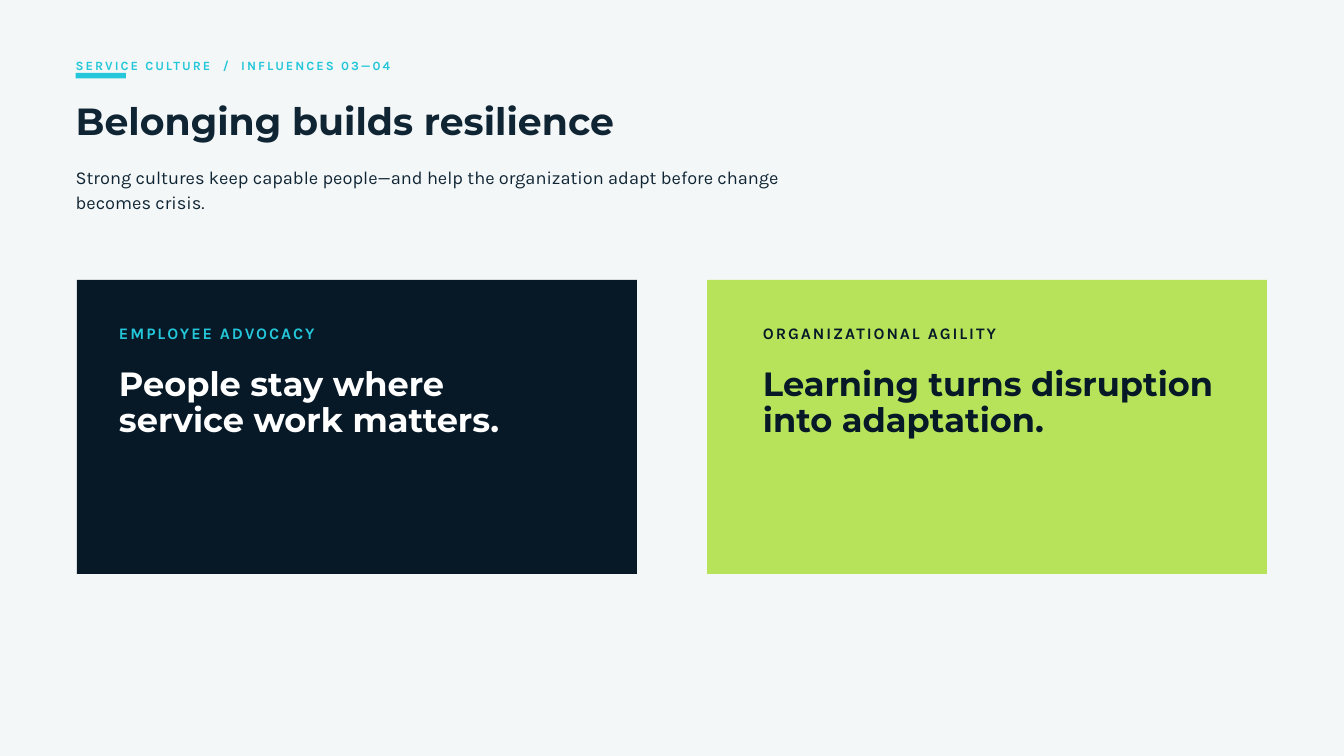
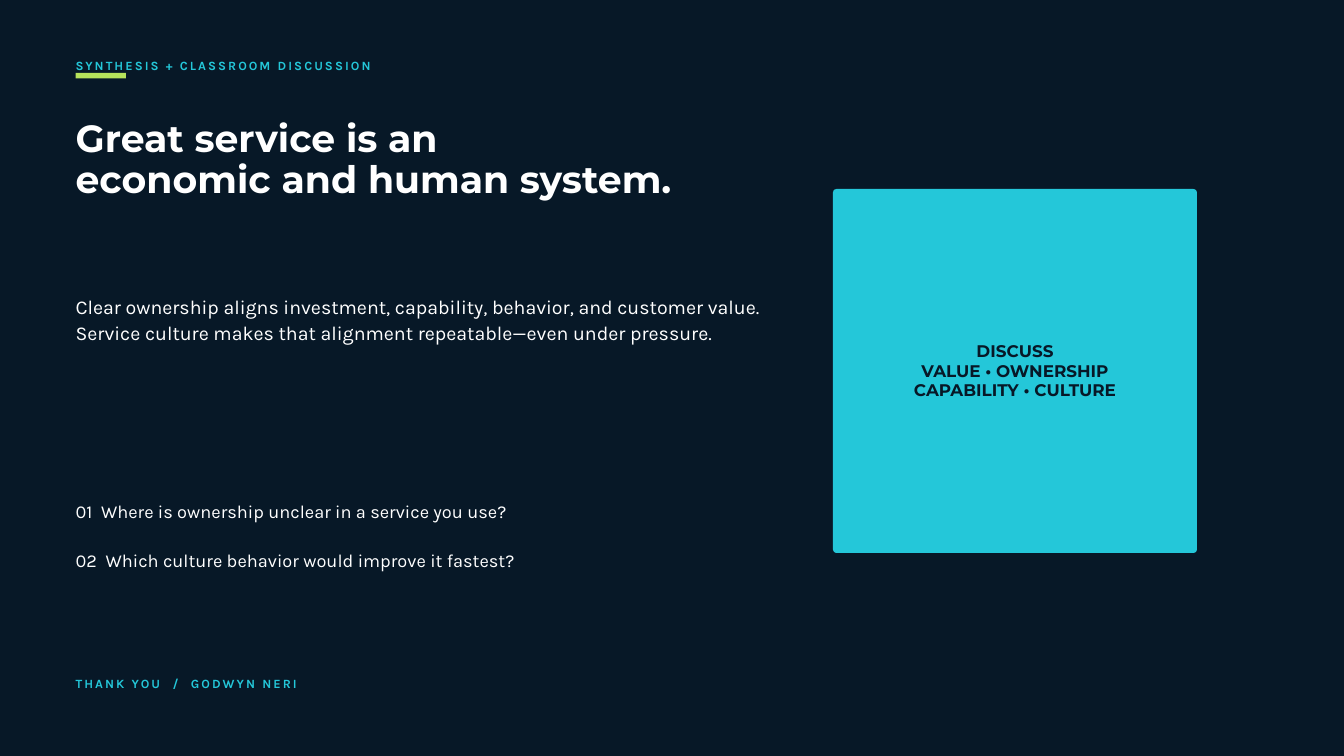
import dataclasses

import pptx
import pptx.dml.color
import pptx.enum.shapes
import pptx.enum.text
import pptx.util

Pt = pptx.util.Pt
Anchor = pptx.enum.text.MSO_ANCHOR
Align = pptx.enum.text.PP_ALIGN
AutoSize = pptx.enum.text.MSO_AUTO_SIZE
Preset = pptx.enum.shapes.MSO_SHAPE


@dataclasses.dataclass(frozen=True)
class Style:
    font: str
    size: float
    leading: float
    bold: bool = False
    tracking: float = 0


@dataclasses.dataclass(frozen=True)
class Theme:
    mist: str = "F4F7F8"
    navy: str = "071827"
    ink: str = "102534"
    cyan: str = "24C7D9"
    lime: str = "B7E35B"
    white: str = "FFFFFF"
    eyebrow: Style = Style("Karla", 13.5, 18.9, True, 2.2)
    title: Style = Style("Montserrat", 40.5, 43.7, True)
    lede: Style = Style("Karla", 19.5, 26.3)
    card_label: Style = Style("Karla", 17.2, 24.1, True, 2.1)
    card_heading: Style = Style("Montserrat", 36, 38.9, True)
    summary: Style = Style("Karla", 21, 28.4)
    question: Style = Style("Karla", 19.5, 27.3)
    panel: Style = Style("Montserrat", 18, 20.7, True)


THEME = Theme()
SLIDE_WIDTH, SLIDE_HEIGHT = 1440, 810
MARGIN = 81


def rgb(color):
    return pptx.dml.color.RGBColor.from_string(color)


def add_block(shapes, box, color, preset=Preset.RECTANGLE):
    shape = shapes.add_shape(preset, *map(Pt, box))
    shape.shadow.inherit = False
    shape.fill.solid()
    shape.fill.fore_color.rgb = rgb(color)
    shape.line.fill.background()
    return shape


def add_text(shapes, box, lines, style, color, inset=0, centered=False):
    frame = shapes.add_textbox(*map(Pt, box)).text_frame
    frame.word_wrap = True
    frame.margin_left = frame.margin_top = Pt(inset)
    frame.margin_right = frame.margin_bottom = Pt(inset)
    frame.auto_size = AutoSize.NONE if centered else AutoSize.SHAPE_TO_FIT_TEXT
    frame.vertical_anchor = Anchor.MIDDLE if centered else Anchor.TOP
    for index, line in enumerate(lines):
        paragraph = frame.add_paragraph() if index else frame.paragraphs[0]
        paragraph.line_spacing = Pt(style.leading)
        paragraph.alignment = Align.CENTER if centered else Align.LEFT
        run = paragraph.add_run()
        run.text = line
        run.font.name = style.font
        run.font.size = Pt(style.size)
        run.font.bold = style.bold
        run.font.color.rgb = rgb(color)
        if style.tracking:
            run._r.get_or_add_rPr().set("spc", str(round(style.tracking * 100)))


def add_slide(presentation, background):
    slide = presentation.slides.add_slide(presentation.slide_layouts[6])
    slide.background.fill.solid()
    slide.background.fill.fore_color.rgb = rgb(background)
    return slide


def add_header(slide, eyebrow, bar_color, title_lines, title_top, title_color):
    add_block(slide.shapes, (MARGIN, 78, 54, 6), bar_color)
    add_text(slide.shapes, (MARGIN, 59, 580, 18), [eyebrow], THEME.eyebrow, THEME.cyan)
    height = THEME.title.leading * len(title_lines)
    add_text(slide.shapes, (MARGIN, title_top, 860, height), title_lines,
             THEME.title, title_color)


def add_card(slide, box, fill, padding, label, label_color, heading, heading_color):
    left, top, width, height = box
    shapes = slide.shapes.add_group_shape().shapes
    add_block(shapes, box, fill)
    add_text(shapes, (left + padding, top + 42.75, 487.5, 23), [label],
             THEME.card_label, label_color)
    add_text(shapes, (left + padding, top + 93, 487.5, 78), heading,
             THEME.card_heading, heading_color)


def add_panel(slide, box, lines):
    shapes = slide.shapes.add_group_shape().shapes
    panel = add_block(shapes, box, THEME.cyan, Preset.ROUNDED_RECTANGLE)
    panel.adjustments[0] = 0.01
    add_text(shapes, box, lines, THEME.panel, THEME.navy, inset=4.5, centered=True)


def build_influences(presentation):
    slide = add_slide(presentation, THEME.mist)
    add_header(slide, "SERVICE CULTURE  /  INFLUENCES 03—04", THEME.cyan,
               ["Belonging builds resilience"], 109.5, THEME.ink)
    add_text(slide.shapes, (MARGIN, 175.5, 840, 27),
             ["Strong cultures keep capable people—and help the organization "
              "adapt before change becomes crisis."], THEME.lede, THEME.ink)
    cards = [
        (THEME.navy, 45, "EMPLOYEE ADVOCACY", THEME.cyan,
         ["People stay where", "service work matters."], THEME.white),
        (THEME.lime, 60, "ORGANIZATIONAL AGILITY", THEME.navy,
         ["Learning turns disruption", "into adaptation."], THEME.navy),
    ]
    width, gap = 600, 75
    first_left = (SLIDE_WIDTH - 2 * width - gap) / 2
    for index, card in enumerate(cards):
        add_card(slide, (first_left + index * (width + gap), 300, width, 315), *card)


def build_synthesis(presentation):
    slide = add_slide(presentation, THEME.navy)
    add_header(slide, "SYNTHESIS + CLASSROOM DISCUSSION", THEME.lime,
               ["Great service is an", "economic and human system."], 128, THEME.white)
    add_text(slide.shapes, (MARGIN, 312.5, 750, 55),
             ["Clear ownership aligns investment, capability, behavior, and customer "
              "value. Service culture makes that alignment repeatable—even under "
              "pressure."], THEME.summary, THEME.white)
    add_panel(slide, (892.5, 202.5, 390, 390),
              ["DISCUSS", "VALUE • OWNERSHIP", "CAPABILITY • CULTURE"])
    questions = ["01  Where is ownership unclear in a service you use?",
                 "02  Which culture behavior would improve it fastest?"]
    for index, question in enumerate(questions):
        add_text(slide.shapes, (MARGIN, 532.5 + index * 52.5, 615, 27), [question],
                 THEME.question, THEME.white)
    add_text(slide.shapes, (MARGIN, 722, 450, 18), ["THANK YOU  /  GODWYN NERI"],
             THEME.eyebrow, THEME.cyan)


def main():
    presentation = pptx.Presentation()
    presentation.slide_width = Pt(SLIDE_WIDTH)
    presentation.slide_height = Pt(SLIDE_HEIGHT)
    build_influences(presentation)
    build_synthesis(presentation)
    presentation.save("out.pptx")


if __name__ == "__main__":
    main()
